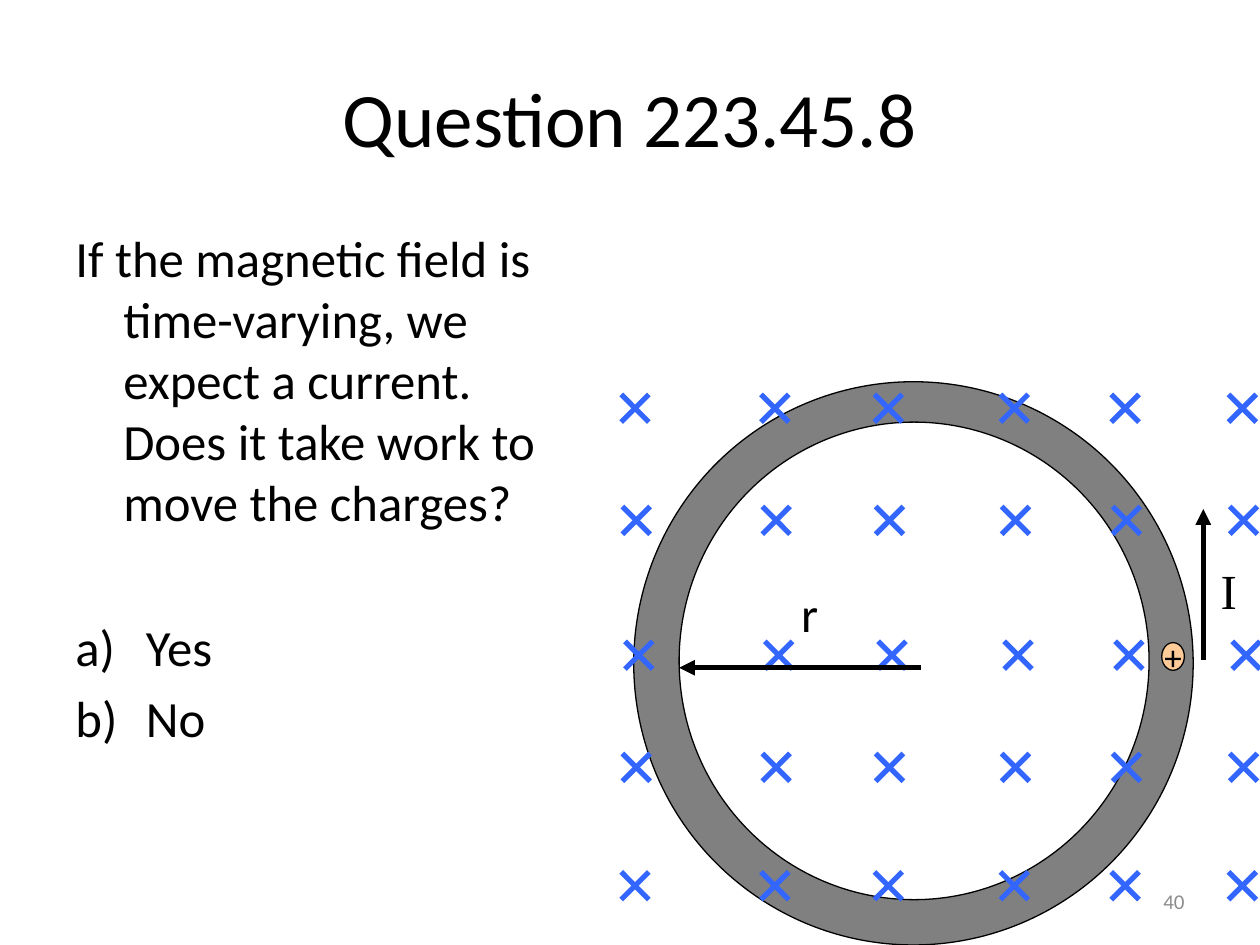
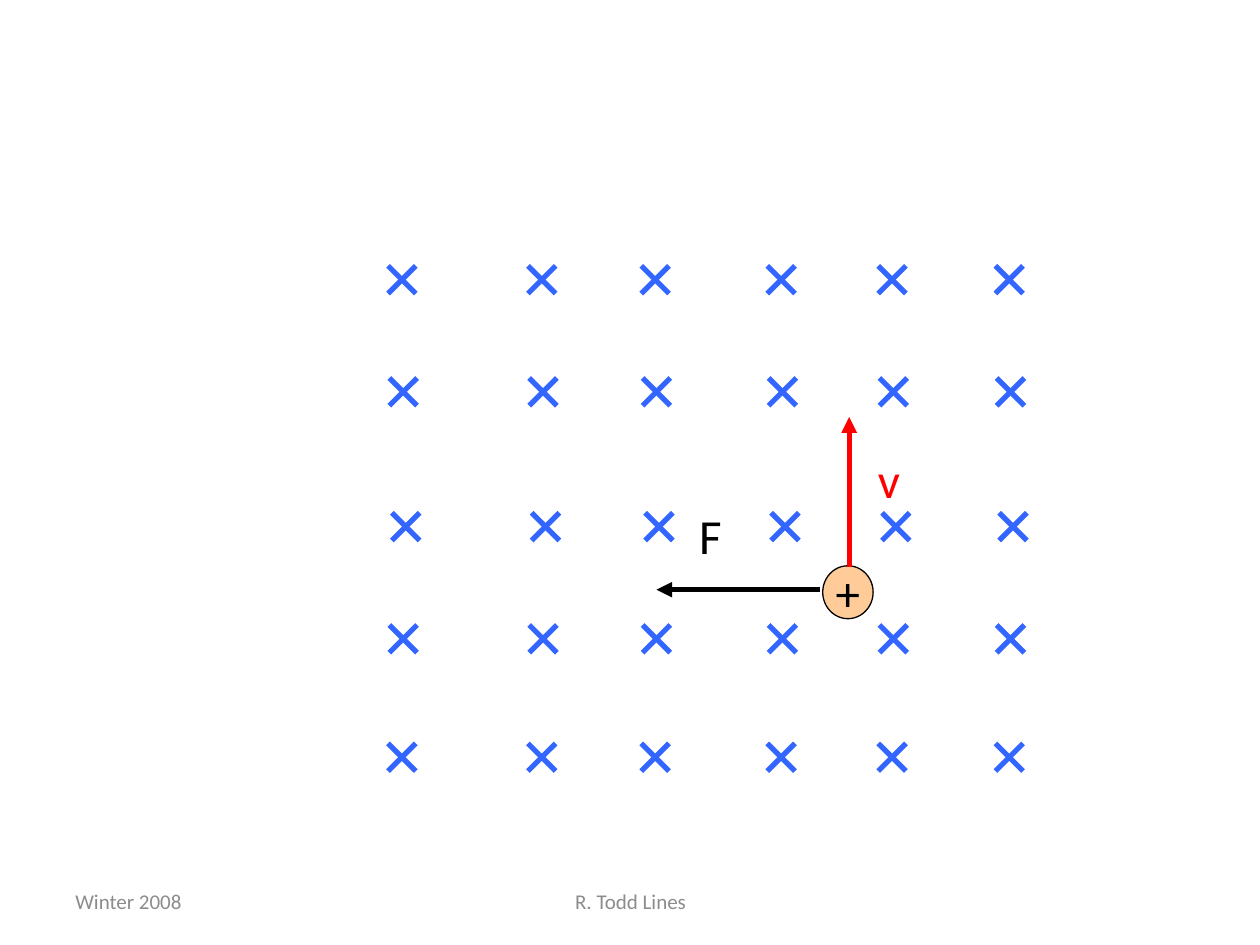
"""Two slides on the work done moving charges through a magnetic field."""
from itertools import product

from pptx import Presentation
from pptx.dml.color import RGBColor
from pptx.enum.shapes import MSO_CONNECTOR as Link, MSO_SHAPE as Preset
from pptx.enum.text import MSO_ANCHOR as Anchor, PP_ALIGN as Align
from pptx.oxml.ns import qn
from pptx.util import Inches, Pt
from lxml.etree import SubElement

WIDTH, HEIGHT = 10, 7.5
MARGIN = 0.05 * WIDTH
BLACK, GREY, RING, WHITE = "000000", "8C8C8C", "808080", "FFFFFF"
BLUE, PEACH, RED = "3366FF", "FFCC99", "FF0000"
FONT, SERIF = "Calibri", "Times New Roman"

TITLE = "Question 223.45.8"
QUESTION = ("If the magnetic field is time-varying, we expect a current. "
            "Does it take work to move the charges?")
ANSWERS = ["Yes", "No"]
PAGE_NUMBER, TERM, AUTHOR = "40", "Winter 2008", "R. Todd Lines"

CROSS = 0.22
CROSS_COLUMNS = [0, 1.11, 2.01, 3.01, 3.89, 4.82]
CROSS_ROWS = [(0, 0), (0.01, 0.89), (0.03, 1.96), (0.01, 2.85), (0, 3.79)]
LOOP_FIELD, FORCE_FIELD = (4.93, 3.13), (3.08, 2.11)
FOOTER_TOP, FOOTER_HEIGHT = 6.95, 0.4


def colour(code):
    return RGBColor.from_string(code)


def style(para, size, code=BLACK, font=FONT):
    for span in para.runs:
        span.font.size, span.font.name = Pt(size), font
        span.font.color.rgb = colour(code)


def add_text(page, area, text, size, code=BLACK, font=FONT,
             align=Align.LEFT, anchor=Anchor.TOP, wrap=True):
    box = page.shapes.add_textbox(*map(Inches, area))
    frame = box.text_frame
    frame.text, frame.word_wrap, frame.vertical_anchor = text, wrap, anchor
    frame.paragraphs[0].alignment = align
    style(frame.paragraphs[0], size, code, font)
    return frame


def add_footer(page, left, width, text, align):
    add_text(page, (left, FOOTER_TOP, width, FOOTER_HEIGHT), text, 12, GREY,
             align=align, anchor=Anchor.MIDDLE)


def add_oval(page, area, fill):
    oval = page.shapes.add_shape(Preset.OVAL, *map(Inches, area))
    oval.shadow.inherit = False
    oval.fill.solid()
    oval.fill.fore_color.rgb = colour(fill)
    oval.line.color.rgb, oval.line.width = colour(BLACK), Pt(0.75)
    return oval


def add_charge(page, area, size):
    frame = add_oval(page, area, PEACH).text_frame
    frame.text, frame.word_wrap, frame.vertical_anchor = "+", False, Anchor.MIDDLE
    frame.paragraphs[0].alignment = Align.CENTER
    style(frame.paragraphs[0], size)


def add_line(page, start, end, code):
    line = page.shapes.add_connector(Link.STRAIGHT, *map(Inches, (*start, *end)))
    line.line.color.rgb, line.line.width = colour(code), Pt(3)
    SubElement(line._element.spPr, qn("a:effectLst"))
    return line


def add_arrow(page, start, end, code=BLACK):
    arrow = add_line(page, start, end, code)
    SubElement(arrow.line._get_or_add_ln(), qn("a:tailEnd"), type="triangle")


def add_field(page, left, top):
    for (shift, drop), column in product(CROSS_ROWS, CROSS_COLUMNS):
        x, y = left + column + shift, top + drop
        add_line(page, (x, y), (x + CROSS, y + CROSS), BLUE)
        add_line(page, (x + CROSS, y), (x, y + CROSS), BLUE)


def add_question(page):
    frame = add_text(page, (MARGIN, 1.75, 3.92, 4.95), QUESTION, 29)
    rows = [(frame.paragraphs[0], 0.38, 6)]
    for answer, gap in zip(ANSWERS, (48, 6)):
        para = frame.add_paragraph()
        para.text = answer
        style(para, 29)
        rows.append((para, 0.56, gap))
    for para, indent, gap in rows:
        para.space_before = Pt(gap)
        props = para._p.get_or_add_pPr()
        props.set("marL", str(Inches(indent)))
        props.set("indent", str(-Inches(indent)))
        if para.text in ANSWERS:
            SubElement(props, qn("a:buFont"), typeface=FONT)
            SubElement(props, qn("a:buAutoNum"), type="alphaLcParenR")


def build_loop(page):
    add_text(page, (MARGIN, 0.3, WIDTH - 2 * MARGIN, 1.25), TITLE, 44,
             align=Align.CENTER, anchor=Anchor.MIDDLE)
    add_question(page)
    add_footer(page, 7.17, 2.33, PAGE_NUMBER, Align.RIGHT)
    add_oval(page, (5.03, 3.03, 4.44, 4.47), RING)
    add_oval(page, (5.39, 3.35, 3.73, 3.79), WHITE)
    add_charge(page, (9.22, 5.1, 0.18, 0.22), 20)
    add_arrow(page, (9.55, 5.24), (9.55, 4.04))
    add_text(page, (9.59, 4.4, 0.33, 0.57), "I", 28, font=SERIF, wrap=False)
    add_field(page, *LOOP_FIELD)
    add_arrow(page, (7.31, 5.3), (5.39, 5.3))
    add_text(page, (6.26, 4.58, 0.44, 0.57), "r", 28)


def build_force(page):
    add_footer(page, MARGIN, 2.33, TERM, Align.LEFT)
    add_footer(page, 3.42, 3.17, AUTHOR, Align.CENTER)
    add_charge(page, (6.53, 4.49, 0.4, 0.42), 28)
    add_arrow(page, (6.74, 4.5), (6.74, 3.31), RED)
    add_text(page, (6.87, 3.52, 0.4, 0.57), "v", 28, RED, wrap=False)
    add_field(page, *FORCE_FIELD)
    add_arrow(page, (6.51, 4.68), (5.21, 4.68))
    add_text(page, (5.45, 3.96, 0.44, 0.57), "F", 28, wrap=False)


def main():
    deck = Presentation()
    deck.slide_width, deck.slide_height = Inches(WIDTH), Inches(HEIGHT)
    for build in (build_loop, build_force):
        build(deck.slides.add_slide(deck.slide_layouts[6]))
    deck.save("out.pptx")


if __name__ == "__main__":
    main()
